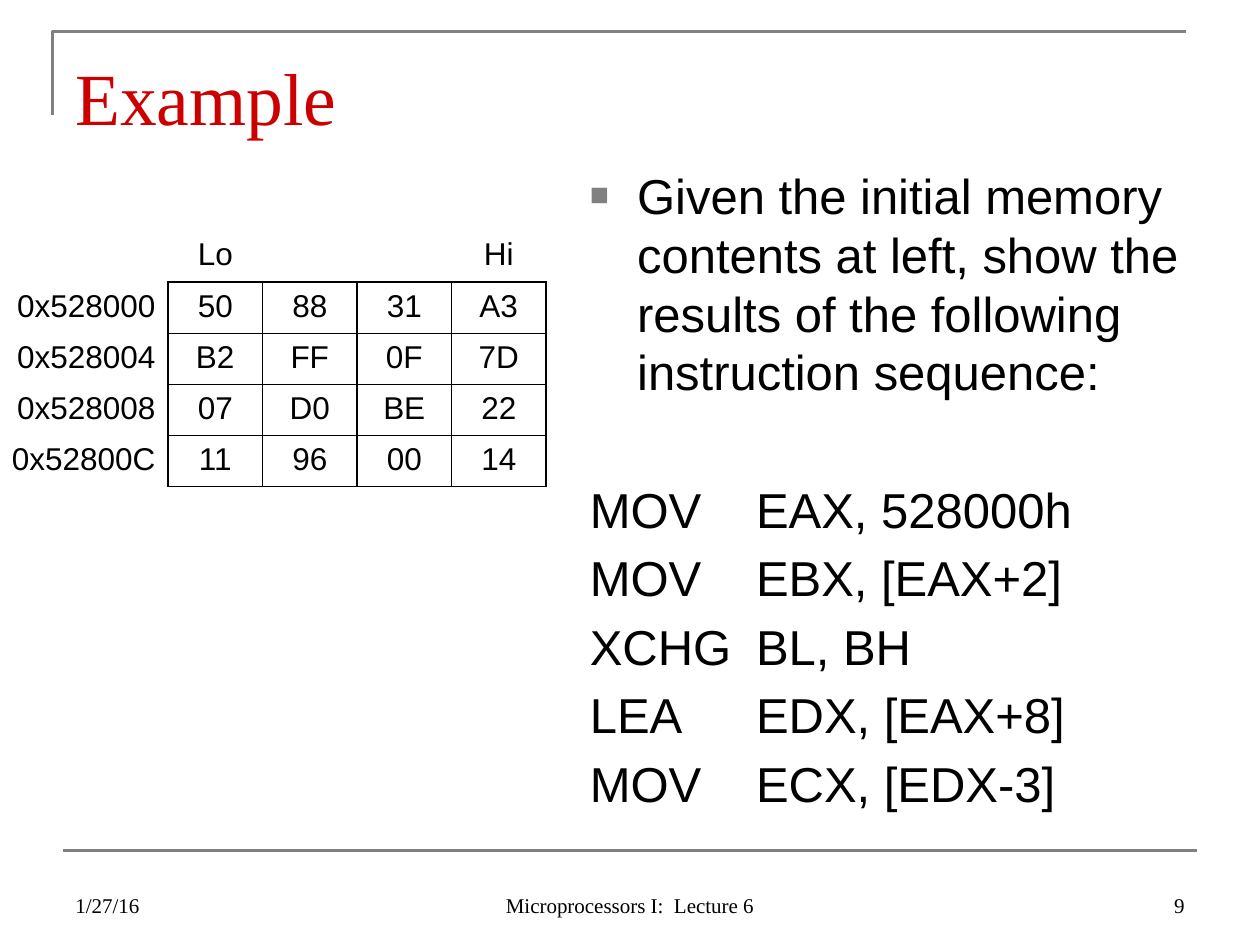
from dataclasses import dataclass

from lxml import etree
from pptx import Presentation
from pptx.dml.color import RGBColor
from pptx.enum import shapes, text
from pptx.oxml import ns
from pptx.util import Pt

BLACK, GRAY, RED = "000000", "808080", "CC0000"
SANS, SERIF = "Arial", "Times New Roman"
LEFT, CENTER, RIGHT = text.PP_ALIGN.LEFT, text.PP_ALIGN.CENTER, text.PP_ALIGN.RIGHT
TOP, BOTTOM = text.MSO_ANCHOR.TOP, text.MSO_ANCHOR.BOTTOM


@dataclass
class Label:
    wording: str
    left: float
    top: float
    width: float
    height: float
    size: float = 12
    color: str = BLACK
    align: text.PP_ALIGN = LEFT
    anchor: text.MSO_ANCHOR = BOTTOM
    inset: float = 3.6


@dataclass
class MemoryRow:
    address: str
    contents: tuple


LABELS = [
    Label("Example", 36, 21.6, 648, 56.2, size=42, color=RED, anchor=TOP, inset=8),
    Label("1/27/16", 36, 492, 168, 36),
    Label("Microprocessors I:  Lecture 6", 246, 492, 228, 36, align=CENTER),
    Label("9", 516, 492, 168, 36, align=RIGHT),
]
MEMORY = [
    MemoryRow("", ("Lo", "", "", "Hi")),
    MemoryRow("0x528000", ("50", "88", "31", "A3")),
    MemoryRow("0x528004", ("B2", "FF", "0F", "7D")),
    MemoryRow("0x528008", ("07", "D0", "BE", "22")),
    MemoryRow("0x52800C", ("11", "96", "00", "14")),
]
QUESTION = ("Given the initial memory contents at left, show the results "
            "of the following instruction sequence:")
INSTRUCTIONS = [
    ("MOV", "EAX, 528000h"),
    ("MOV", "EBX, [EAX+2]"),
    ("XCHG", "BL, BH"),
    ("LEA", "EDX, [EAX+8]"),
    ("MOV", "ECX, [EDX-3]"),
]


def rgb(value: str) -> RGBColor:
    return RGBColor.from_string(value)


def add_xml(parent, tag: str, **attributes):
    return etree.SubElement(parent, ns.qn(tag), attributes)


def write(paragraph, wording: str, *, size: float, font: str = SANS,
          color: str = BLACK, align=LEFT, before: float = 0, spacing=None) -> None:
    run = paragraph.add_run()
    run.text = wording
    run.font.size, run.font.name = Pt(size), font
    run.font.color.rgb = rgb(color)
    paragraph.alignment = align
    paragraph.space_before = Pt(before)
    if spacing:
        paragraph.line_spacing = Pt(spacing)


def add_frame(slide, left: float, top: float, width: float, height: float,
              anchor=TOP, inset: float = 3.6):
    frame = slide.shapes.add_textbox(Pt(left), Pt(top), Pt(width), Pt(height)).text_frame
    frame.word_wrap = True
    frame.vertical_anchor = anchor
    frame.margin_top = Pt(inset)
    return frame


def draw_label(slide, label: Label) -> None:
    frame = add_frame(slide, label.left, label.top, label.width, label.height,
                      label.anchor, label.inset)
    write(frame.paragraphs[0], label.wording, size=label.size, font=SERIF,
          color=label.color, align=label.align)


def draw_rules(slide) -> None:
    builder = slide.shapes.build_freeform(Pt(30), Pt(66), scale=1.0)
    builder.add_line_segments([(Pt(30), Pt(18)), (Pt(678), Pt(18))], close=False)
    corner = builder.convert_to_shape()
    corner.fill.background()
    corner.shadow.inherit = False
    footer_rule = slide.shapes.add_connector(
        shapes.MSO_CONNECTOR.STRAIGHT, Pt(36), Pt(486), Pt(684), Pt(486))
    add_xml(footer_rule._element.spPr, "a:effectLst")
    for rule in (corner, footer_rule):
        rule.line.color.rgb = rgb(GRAY)
        rule.line.width = Pt(1.5)


def set_borders(cell, visible: str) -> None:
    properties = cell._tc.get_or_add_tcPr()
    for position, side in enumerate("LRTB"):
        border = etree.Element(ns.qn(f"a:ln{side}"), w=str(Pt(1)))
        if side in visible:
            fill = add_xml(border, "a:solidFill")
            add_xml(fill, "a:srgbClr", val=BLACK)
        else:
            add_xml(border, "a:noFill")
        properties.insert(position, border)


def draw_memory(slide, rows: list[MemoryRow]) -> None:
    column_widths = [126] + [54] * 4
    row_height = 29.25
    table = slide.shapes.add_table(
        len(rows), len(column_widths), Pt(-30), Pt(132),
        Pt(sum(column_widths)), Pt(row_height * len(rows))).table
    table.first_row = table.horz_banding = False
    for column, width in zip(table.columns, column_widths):
        column.width = Pt(width)
    for r, row in enumerate(rows):
        table.rows[r].height = Pt(row_height)
        for c, wording in enumerate((row.address, *row.contents)):
            cell = table.cell(r, c)
            cell.fill.background()
            if r and c:
                visible = "LRTB"
            elif c:
                visible = "B"
            else:
                visible = "R" if r else ""
            set_borders(cell, visible)
            write(cell.text_frame.paragraphs[0], wording, size=18,
                  align=CENTER if c else RIGHT)


def draw_exercise(slide) -> None:
    size, spacing, gap = 28, 33.6, 5.6
    frame = add_frame(slide, 330, 90, 354, 392.4, inset=4.6)
    question = frame.paragraphs[0]
    properties = question._p.get_or_add_pPr()
    properties.set("marL", str(Pt(27)))
    properties.set("indent", str(Pt(-27)))
    bullet_color = add_xml(properties, "a:buClr")
    add_xml(bullet_color, "a:srgbClr", val=GRAY)
    add_xml(properties, "a:buSzPct", val="65000")
    add_xml(properties, "a:buFont", typeface=SANS)
    add_xml(properties, "a:buChar", char="■")
    write(question, QUESTION, size=size, spacing=spacing)
    for index, (operation, operands) in enumerate(INSTRUCTIONS):
        paragraph = frame.add_paragraph()
        tabs = add_xml(paragraph._p.get_or_add_pPr(), "a:tabLst")
        add_xml(tabs, "a:tab", pos=str(Pt(95)), algn="l")
        write(paragraph, f"{operation}\t{operands}", size=size, spacing=spacing,
              before=gap if index else 2 * gap + spacing)


def main() -> None:
    deck = Presentation()
    deck.slide_width, deck.slide_height = Pt(720), Pt(540)
    slide = deck.slides.add_slide(deck.slide_layouts[6])
    draw_rules(slide)
    draw_memory(slide, MEMORY)
    draw_exercise(slide)
    for label in LABELS:
        draw_label(slide, label)
    deck.save("out.pptx")


if __name__ == "__main__":
    main()
